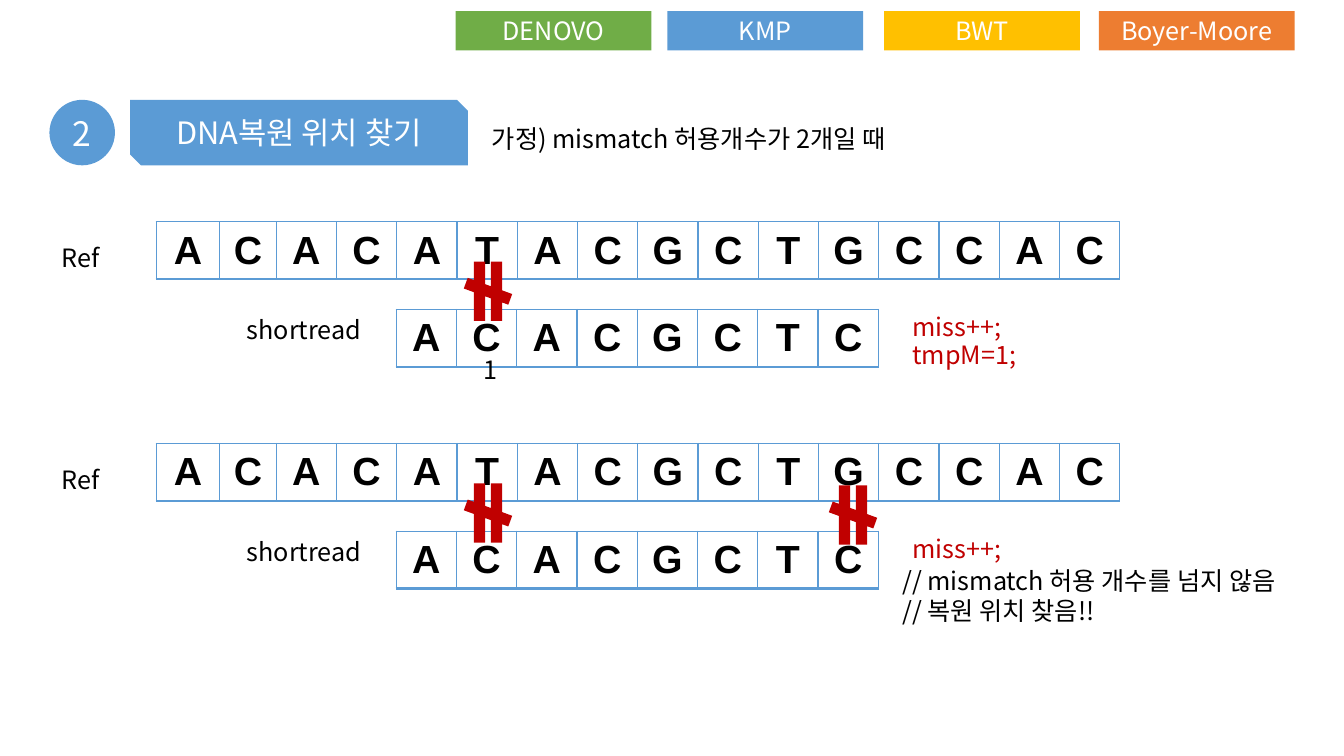
"""Build the slide on finding a DNA restore position with two mismatches allowed."""
from lxml import etree
from pptx import Presentation
from pptx.dml.color import RGBColor
from pptx.enum.shapes import MSO_SHAPE
from pptx.enum.text import MSO_ANCHOR, PP_ALIGN
from pptx.oxml.ns import qn
from pptx.util import Inches, Pt

RECT, OVAL = MSO_SHAPE.RECTANGLE, MSO_SHAPE.OVAL
SNIP, NOT_EQUAL = MSO_SHAPE.SNIP_2_DIAG_RECTANGLE, MSO_SHAPE.MATH_NOT_EQUAL
LEFT, CENTER, MIDDLE = PP_ALIGN.LEFT, PP_ALIGN.CENTER, MSO_ANCHOR.MIDDLE

BLUE = RGBColor(0x5B, 0x9B, 0xD5)
GREEN = RGBColor(0x70, 0xAD, 0x47)
YELLOW = RGBColor(0xFF, 0xC0, 0x00)
ORANGE = RGBColor(0xED, 0x7D, 0x31)
RED = RGBColor(0xC0, 0x00, 0x00)
BLACK = RGBColor(0x00, 0x00, 0x00)
WHITE = RGBColor(0xFF, 0xFF, 0xFF)

SANS, BASE_FONT = "Noto Sans CJK KR", "Arial"
GRID = Inches(0.1)
BASE_COL, BASE_ROW = 5.98, 5.7
TEXT_ROW = 4
REF, SHORTREAD = "ACACATACGCTGCCAC", "ACACGCTC"
TABS = [
    (45.2, "DENOVO", GREEN),
    (66.2, "KMP", BLUE),
    (87.7, "BWT", YELLOW),
    (109, "Boyer-Moore", ORANGE),
]
PANELS = [(22, [44.4]), (44, [44.4, 80.6])]


def cells(*counts):
    """Turn grid counts into lengths."""
    return [round(n * GRID) for n in counts]


def write(p, text, size, color, align=LEFT, font=SANS, bold=False):
    """Fill a paragraph and set its font for Latin and Korean letters."""
    p.text, p.alignment = text, align
    p.font.size, p.font.bold, p.font.name = Pt(size), bold, font
    p.font.color.rgb = color
    props = p._p.pPr.find(qn("a:defRPr"))
    etree.SubElement(props, qn("a:ea"), typeface=font)


def add_block(s, kind, box, fill, text="", size=18):
    """Add a filled shape with centred white text."""
    sp = s.shapes.add_shape(kind, *cells(*box))
    sp.shadow.inherit = False
    sp.fill.solid()
    sp.fill.fore_color.rgb = fill
    sp.line.fill.background()
    if text:
        sp.text_frame.vertical_anchor = MIDDLE
        write(sp.text_frame.paragraphs[0], text, size, WHITE, CENTER)
    return sp


def add_text(s, x, y, w, *lines, color=BLACK, wrap=True):
    """Add a text box with one paragraph per line."""
    box = s.shapes.add_textbox(*cells(x, y, w, TEXT_ROW * len(lines)))
    tf = box.text_frame
    tf.word_wrap = wrap
    for i, line in enumerate(lines):
        p = tf.add_paragraph() if i else tf.paragraphs[0]
        write(p, line, 18, color)


def set_borders(cell):
    """Draw thin blue sides and a thicker blue bottom on a cell."""
    props = cell._tc.get_or_add_tcPr()
    for i, (side, width) in enumerate([("L", 1), ("R", 1), ("T", 1), ("B", 2)]):
        ln = etree.Element(qn("a:ln" + side), w=str(Pt(width)))
        fill = etree.SubElement(ln, qn("a:solidFill"))
        etree.SubElement(fill, qn("a:srgbClr"), val=str(BLUE))
        props.insert(i, ln)


def add_sequence(s, x, y, bases, first_cols=()):
    """Add a one-row table with one base in each cell."""
    widths = [*first_cols, *[BASE_COL] * (len(bases) - len(first_cols))]
    box = cells(x, y, sum(widths), BASE_ROW)
    table = s.shapes.add_table(1, len(bases), *box).table
    table.first_row = table.horz_banding = False
    for col, width, base in zip(table.columns, cells(*widths), bases):
        col.width = width
    for cell, base in zip(table.rows[0].cells, bases):
        cell.fill.background()
        cell.vertical_anchor = MIDDLE
        write(cell.text_frame.paragraphs[0], base, 28, BLACK, CENTER, BASE_FONT, True)
        set_borders(cell)


def add_panel(s, y, marks):
    """Add the reference, the short read below it and the mismatch marks."""
    add_text(s, 5.1, y + 1.6, 6.5, "Ref")
    add_text(s, 23.5, y + 8.7, 13.7, "shortread")
    add_sequence(s, 15.5, y, REF, (6.3, 5.6))
    add_sequence(s, 39.3, y + 8.7, SHORTREAD)
    add_text(s, 89.5, y + 8.4, 13.1, "miss++;", color=RED)
    for i, x in enumerate(marks):
        mark = add_block(s, NOT_EQUAL, (x, y + 4.5 + 0.2 * i, 8, 4.8), RED)
        mark.rotation = 90


def main():
    """Build and save the slide."""
    prs = Presentation()
    prs.slide_width, prs.slide_height = Inches(13.33), Inches(7.5)
    s = prs.slides.add_slide(prs.slide_layouts[6])
    for x, name, color in TABS:
        add_block(s, RECT, (x, 1.1, 19.4, 3.9), color, name)
    add_block(s, OVAL, (4.9, 9.9, 6.5, 6.5), BLUE, "2", 24)
    add_block(s, SNIP, (12.9, 9.9, 33.5, 6.5), BLUE, "DNA복원 위치 찾기", 22)
    add_text(s, 47.8, 11.7, 47, "가정) mismatch 허용개수가 2개일 때")
    for y, marks in PANELS:
        add_panel(s, y, marks)
    add_text(s, 89.5, 33.2, 13.1, "tmpM=1;", color=RED)
    add_text(s, 47, 34.7, 6.5, "1")
    add_text(s, 88.5, 55.6, 42.2, "// mismatch 허용 개수를 넘지 않음",
             "// 복원 위치 찾음!!", wrap=False)
    prs.save("out.pptx")


if __name__ == "__main__":
    main()
